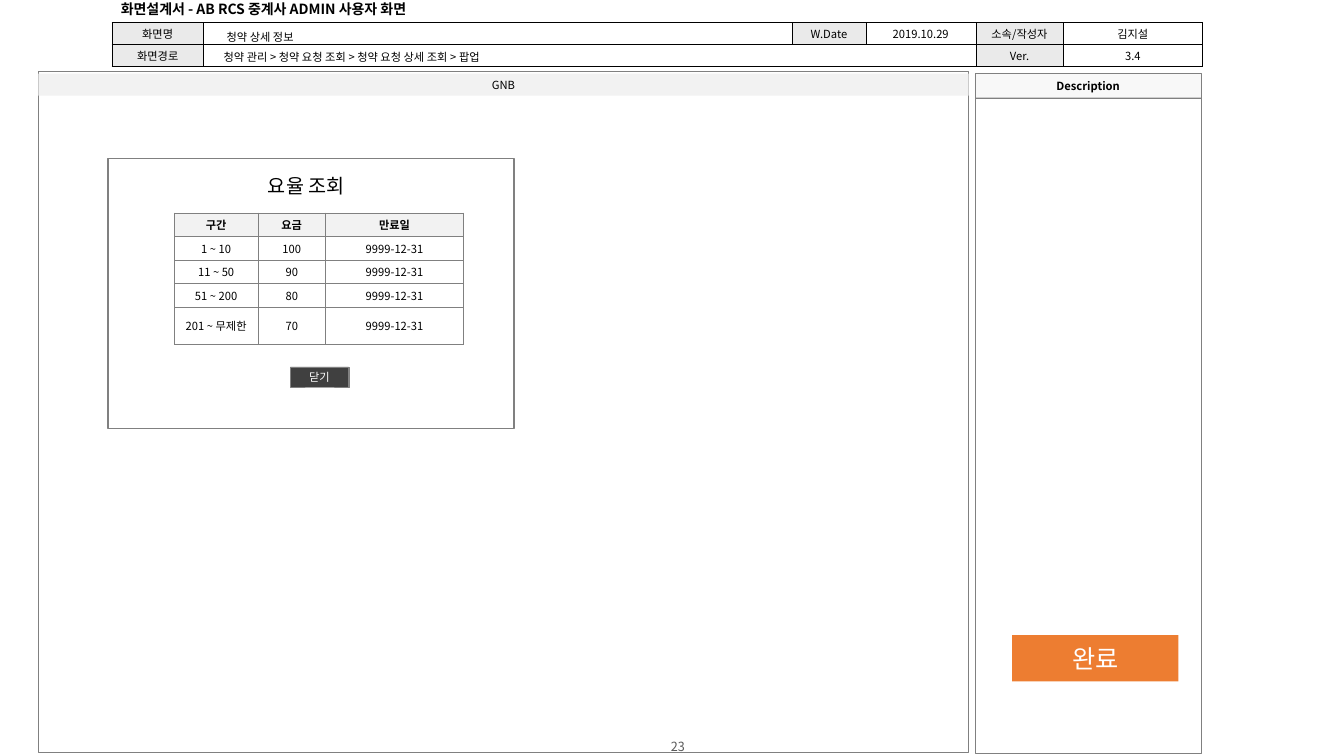
from dataclasses import dataclass
from typing import Optional

from lxml.etree import SubElement
from pptx import Presentation
from pptx.dml.color import RGBColor
from pptx.enum.shapes import MSO_SHAPE
from pptx.enum.text import MSO_ANCHOR as Anchor, PP_ALIGN as Align
from pptx.oxml.ns import qn
from pptx.util import Emu, Inches, Pt


@dataclass(frozen=True)
class Theme:
    font: str = "Noto Sans CJK KR"
    black: str = "000000"
    white: str = "FFFFFF"
    gray: str = "808080"
    page: str = "595959"
    label: str = "EAEAEA"
    band: str = "F2F2F2"
    desc: str = "F8F8F8"
    button: str = "404040"
    done: str = "ED7D31"
    body: float = 8
    number: float = 9
    title: float = 10
    heading: float = 14
    stamp: float = 18
    hairline: float = 0.25
    outline: float = 1


T = Theme()
CELL = Inches(0.1)  # one square of the layout grid
COLUMNS, ROWS = 133.33, 75


def grid(cells: float) -> Emu:
    return Emu(round(cells * CELL))


@dataclass(frozen=True)
class Area:
    col: float
    row: float
    cols: float
    rows: float

    def place(self) -> tuple:
        return tuple(grid(n) for n in (self.col, self.row, self.cols, self.rows))


@dataclass(frozen=True)
class Style:
    size: float = T.body
    color: str = T.black
    bold: bool = False
    align: Align = Align.CENTER


@dataclass(frozen=True)
class Box:
    area: Area
    text: str = ""
    style: Style = Style()
    fill: Optional[str] = None
    line: Optional[str] = None
    width: float = T.hairline
    wrap: bool = True


@dataclass(frozen=True)
class Label:
    area: Area
    text: str
    style: Style = Style(align=Align.LEFT)
    anchor: Anchor = Anchor.TOP
    wrap: bool = True


@dataclass(frozen=True)
class Entry:
    text: str = ""
    fill: Optional[str] = None
    bold: bool = False


@dataclass(frozen=True)
class Sheet:
    area: Area
    cols: tuple
    rows: tuple
    entries: tuple
    border: str


def write(tf, text: str, style: Style) -> None:
    tf.text = text
    p = tf.paragraphs[0]
    p.alignment = style.align
    for r in p.runs:
        f = r.font
        f.name, f.size, f.bold = T.font, Pt(style.size), style.bold
        f.color.rgb = RGBColor.from_string(style.color)
        SubElement(f._element, qn("a:ea"), typeface=T.font)
    if not text:
        SubElement(p._p, qn("a:endParaRPr"), sz=str(int(style.size * 100)))


def paint(fill, color: Optional[str]) -> None:
    if color is None:
        fill.background()
    else:
        fill.solid()
        fill.fore_color.rgb = RGBColor.from_string(color)


def draw_box(shapes, box: Box) -> None:
    sp = shapes.add_shape(MSO_SHAPE.RECTANGLE, *box.area.place())
    sp.shadow.inherit = False
    paint(sp.fill, box.fill)
    paint(sp.line.fill, box.line)
    if box.line:
        sp.line.width = Pt(box.width)
    if box.text:
        tf = sp.text_frame
        tf.word_wrap = box.wrap
        tf.vertical_anchor = Anchor.MIDDLE
        tf.margin_top = tf.margin_bottom = 0
        write(tf, box.text, box.style)


def draw_label(shapes, label: Label) -> None:
    tf = shapes.add_textbox(*label.area.place()).text_frame
    tf.word_wrap = label.wrap
    tf.vertical_anchor = label.anchor
    write(tf, label.text, label.style)


def add_borders(cell, color: str) -> None:
    tc_pr = cell._tc.get_or_add_tcPr()
    for side in ("lnL", "lnR", "lnT", "lnB"):
        ln = SubElement(tc_pr, qn(f"a:{side}"), w=str(Pt(T.hairline)))
        SubElement(SubElement(ln, qn("a:solidFill")), qn("a:srgbClr"), val=color)


def draw_sheet(shapes, sheet: Sheet):
    frame = shapes.add_table(len(sheet.rows), len(sheet.cols), *sheet.area.place())
    table = frame.table
    table.first_row = table.horz_banding = False
    for column, cols in zip(table.columns, sheet.cols):
        column.width = grid(cols)
    for row, rows, entries in zip(table.rows, sheet.rows, sheet.entries):
        row.height = grid(rows)
        for cell, entry in zip(row.cells, entries):
            cell.margin_top = cell.margin_bottom = Inches(0.02)
            cell.vertical_anchor = Anchor.MIDDLE
            write(cell.text_frame, entry.text, Style(bold=entry.bold))
            add_borders(cell, sheet.border)
            paint(cell.fill, entry.fill)
    return table


def tag(text: str) -> Entry:
    return Entry(text, T.label)


BLANK = Entry(fill=T.white)
HEADER = Sheet(
    Area(11.1, 2.2, 108.2, 4.4), (9.1, 58.4, 7.3, 10.9, 8.7, 13.8), (2.2, 2.2),
    ((tag("화면명"), BLANK, tag("W.Date"), Entry("2019.10.29", T.white),
      tag("소속/작성자"), Entry("김지설")),
     (tag("화면경로"), BLANK, BLANK, BLANK, tag("Ver."), Entry("3.4"))),
    T.black)

BRACKETS = (("1 ~ 10", "100"), ("11 ~ 50", "90"), ("51 ~ 200", "80"), ("201 ~ 무제한", "70"))
RATES = Sheet(
    Area(17.3, 21.1, 28.7, 13), (8.3, 6.7, 13.7), (2.35,) * 4 + (3.65,),
    (tuple(Entry(name, T.band, True) for name in ("구간", "요금", "만료일")),)
    + tuple((Entry(span), Entry(fee), Entry("9999-12-31")) for span, fee in BRACKETS),
    T.gray)

FRAME = (
    Box(Area(3.8, 7.1, 92.3, 67.5), line=T.gray),
    Box(Area(96.7, 9.6, 22.5, 65.1), line=T.gray),
    Box(Area(96.7, 7.3, 22.5, 2.4), "Description", Style(bold=True),
        T.desc, T.gray, wrap=False),
    Box(Area(3.8, 7.3, 92.3, 2.2), "GNB", fill=T.band),
)
POPUP = (
    Box(Area(10.7, 15.7, 40.3, 26.8), line=T.gray, width=T.outline),
    Box(Area(28.8, 36.4, 5.8, 2), "닫기", Style(color=T.white), T.button, T.gray),
)
STAMP = Box(Area(100.4, 63, 16.5, 4.6), "완료", Style(T.stamp, T.white), T.done)
LABELS = (
    Label(Area(51.7, 73.4, 31.1, 1.3), "23", Style(T.number, T.page), Anchor.MIDDLE),
    Label(Area(11, -0.4, 34.7, 2.6), "화면설계서 - AB RCS 중계사 ADMIN 사용자 화면",
          Style(T.title, bold=True, align=Align.LEFT), Anchor.MIDDLE),
    Label(Area(21.5, 2.5, 20.8, 2.4), "청약 상세 정보"),
    Label(Area(21.2, 4.5, 48, 2.4),
          "청약 관리 > 청약 요청 조회 > 청약 요청 상세 조회 > 팝업"),
    Label(Area(25.1, 16.8, 10.6, 3.4), "요율 조회", Style(T.heading), wrap=False),
)


def main() -> None:
    prs = Presentation()
    prs.slide_width, prs.slide_height = grid(COLUMNS), grid(ROWS)
    shapes = prs.slides.add_slide(prs.slide_layouts[6]).shapes
    for box in FRAME:
        draw_box(shapes, box)
    header = draw_sheet(shapes, HEADER)
    header.cell(1, 1).merge(header.cell(1, 3))
    for box in POPUP:
        draw_box(shapes, box)
    draw_sheet(shapes, RATES)
    draw_box(shapes, STAMP)
    for label in LABELS:
        draw_label(shapes, label)
    prs.save("out.pptx")


if __name__ == "__main__":
    main()
